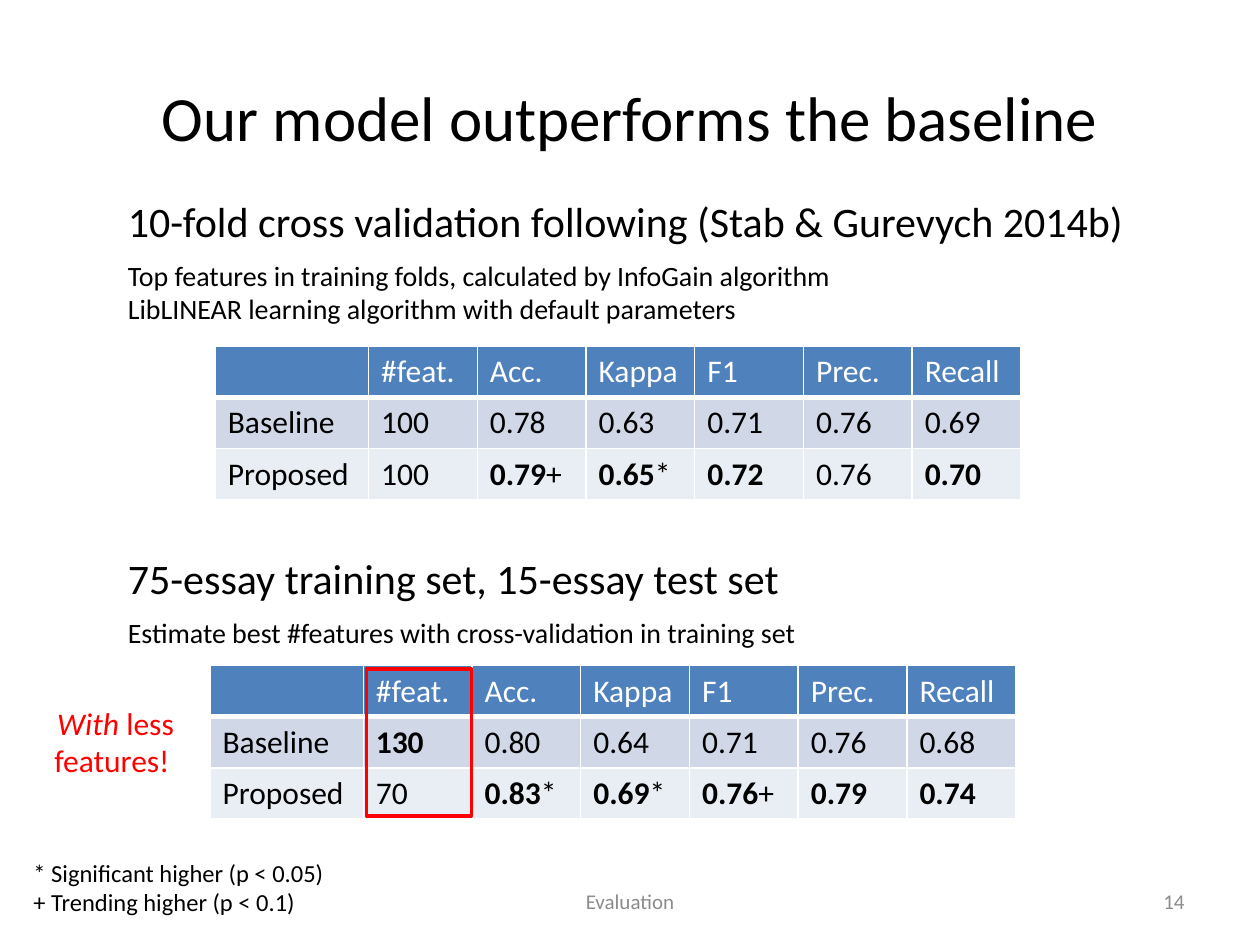
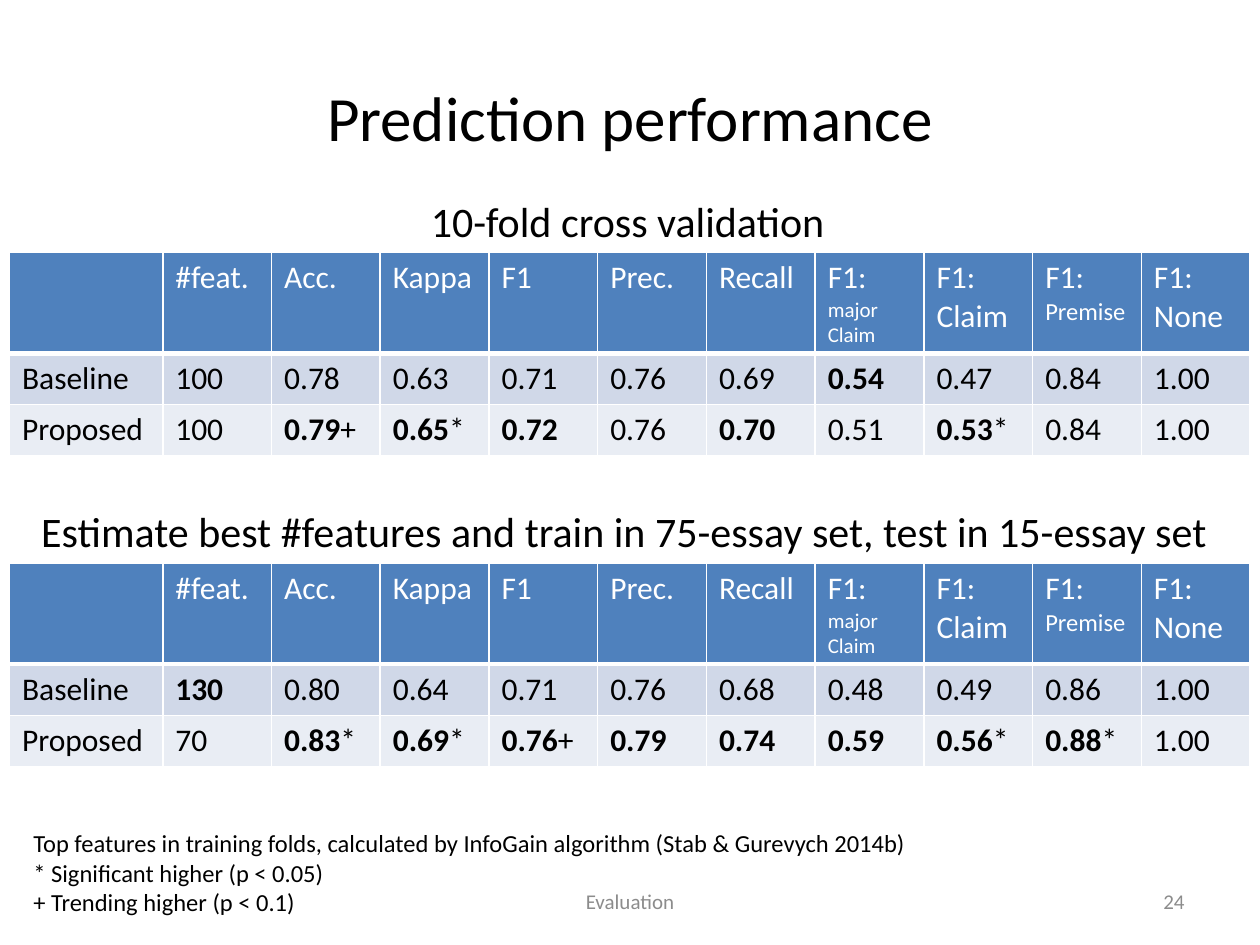
from lxml import etree
from pptx import Presentation
from pptx.dml.color import RGBColor
from pptx.enum.shapes import MSO_SHAPE
from pptx.enum.text import MSO_ANCHOR, PP_ALIGN
from pptx.oxml.ns import qn
from pptx.util import Emu, Inches, Pt

LEFT, CENTER, RIGHT = PP_ALIGN.LEFT, PP_ALIGN.CENTER, PP_ALIGN.RIGHT
TOP, MIDDLE = MSO_ANCHOR.TOP, MSO_ANCHOR.MIDDLE
RECT = MSO_SHAPE.RECTANGLE

FONT = "Calibri"
BLACK, WHITE, GREY, RED = "000000", "FFFFFF", "8C8C8C", "FF0000"
ROW_FILLS = ["4F81BD", "D0D8E8", "E9EDF4"]

UNIT = Inches(10) / 120
LABEL_W, VALUE_W, ROW_H, TALL_H = 14.6, 10.36, 4.87, 9.6

HEADS = ["", "#feat.", "Acc.", "Kappa", "F1", "Prec.", "Recall"]
CLASS_HEADS = ["F1:\vmajor\vClaim", "F1:\vClaim", "F1:\vPremise", "F1:\vNone"]
SMALL_SIZES = {"F1:\vmajor\vClaim": 12, "F1:\vPremise": 14}

FOLDS = [
    ["Baseline", "100", "0.78", "0.63", "0.71", "0.76", "0.69", "0.54", "0.47", "0.84", "1.00"],
    ["Proposed", "100", "0.79+", "0.65*", "0.72", "0.76", "0.70", "0.51", "0.53*", "0.84", "1.00"],
]
HELD_OUT = [
    ["Baseline", "130", "0.80", "0.64", "0.71", "0.76", "0.68", "0.48", "0.49", "0.86", "1.00"],
    ["Proposed", "70", "0.83*", "0.69*", "0.76+", "0.79", "0.74", "0.59", "0.56*", "0.88*", "1.00"],
]
INFOGAIN = "Top features in training folds, calculated by InfoGain algorithm"
LEGEND = "* Significant higher (p < 0.05)\n+ Trending higher (p < 0.1)"


def rgb(color):
    return RGBColor.from_string(color)


def grid(*lengths):
    return [Emu(round(n * UNIT)) for n in lengths]


def style(r, size, color, bold=False):
    r.font.name = FONT
    r.font.size = Pt(size)
    r.font.color.rgb = rgb(color)
    r.font.bold = bold


def style_text(tf, size, color, align=LEFT):
    for p in tf.paragraphs:
        p.alignment = align
        for r in p.runs:
            style(r, size, color)


def add_text(s, box, text, size, color=BLACK, align=LEFT, anchor=TOP, wrap=False):
    tf = s.shapes.add_textbox(*grid(*box)).text_frame
    tf.word_wrap = wrap
    tf.vertical_anchor = anchor
    tf.text = text
    style_text(tf, size, color, align)
    return tf


def add_slide(prs, title, number):
    s = prs.slides.add_slide(prs.slide_layouts[5])
    sp = s.shapes.title
    sp.left, sp.top, sp.width, sp.height = grid(6, 3.6, 108, 15)
    sp.text_frame.text = title
    sp.text_frame.vertical_anchor = MIDDLE
    style_text(sp.text_frame, 36, BLACK, CENTER)
    add_text(s, (41, 83.4, 38, 4.8), "Evaluation", 12, GREY, CENTER, MIDDLE, True)
    add_text(s, (86, 83.4, 28, 4.8), str(number), 12, GREY, RIGHT, MIDDLE, True)
    return s


def set_borders(cell, top, bottom):
    tc_pr = cell._tc.get_or_add_tcPr()
    for tag, width in (("lnL", 1), ("lnR", 1), ("lnT", top), ("lnB", bottom)):
        ln = etree.SubElement(tc_pr, qn(f"a:{tag}"), w=str(Pt(width)))
        fill = etree.SubElement(ln, qn("a:solidFill"))
        etree.SubElement(fill, qn("a:srgbClr"), val=WHITE)


def fill_head(p, text):
    p.text = text
    sizes = [18] + [SMALL_SIZES.get(text, 18)] * text.count("\v")
    for r, size in zip(p.runs, sizes):
        style(r, size, WHITE)
    for br, size in zip(p._p.findall(qn("a:br")), sizes):
        etree.SubElement(br, qn("a:rPr"), sz=str(size * 100))


def fill_value(p, text, bold):
    value = text.rstrip("*+")
    for part, heavy in ((value, bold), (text[len(value):], False)):
        if part:
            r = p.add_run()
            r.text = part
            style(r, 18, BLACK, heavy)


def is_best(scores, row, col):
    if col == 0:
        return False
    ours, other = (float(scores[i][col].rstrip("*+")) for i in (row, 1 - row))
    return ours > other


def add_scores(s, x, y, heads, scores, head_h):
    cols = len(heads)
    size = LABEL_W + (cols - 1) * VALUE_W, head_h + 2 * ROW_H
    table = s.shapes.add_table(3, cols, *grid(x, y, *size)).table
    table.horz_banding = False
    for c, col in enumerate(table.columns):
        col.width = grid(VALUE_W if c else LABEL_W)[0]
    for i, row in enumerate(table.rows):
        row.height = grid(ROW_H if i else head_h)[0]
        for c in range(cols):
            cell = table.cell(i, c)
            set_borders(cell, 3 if i == 1 else 1, 3 if i == 0 else 1)
            cell.fill.solid()
            cell.fill.fore_color.rgb = rgb(ROW_FILLS[i])
            p = cell.text_frame.paragraphs[0]
            if i == 0:
                fill_head(p, heads[c])
            else:
                fill_value(p, scores[i - 1][c], is_best(scores, i - 1, c))


def add_feature_frame(s, x, y):
    box = grid(x + LABEL_W + 0.3, y + 0.3, 10, 14)
    sp = s.shapes.add_shape(RECT, *box)
    sp.shadow.inherit = False
    sp.fill.background()
    sp.line.color.rgb = rgb(RED)
    sp.line.width = Pt(2)


def add_callout(s, box):
    tf = add_text(s, box, "With ", 18, RED, CENTER, wrap=True)
    tf.margin_left = tf.margin_right = tf.margin_top = tf.margin_bottom = 0
    p = tf.paragraphs[0]
    p.runs[0].font.italic = True
    r = p.add_run()
    r.text = "less features! "
    style(r, 18, RED)


def build_outperforms(prs):
    s = add_slide(prs, "Our model outperforms the baseline", 14)
    add_text(s, (11, 18, 98, 6),
             "10-fold cross validation following (Stab & Gurevych 2014b)", 24)
    add_text(s, (11, 24, 79, 7.7),
             INFOGAIN + "\nLibLINEAR learning algorithm with default parameters", 16, wrap=True)
    add_scores(s, 20.5, 33, HEADS, FOLDS, ROW_H)
    add_text(s, (11, 52, 65, 6), "75-essay training set, 15-essay test set", 24)
    add_text(s, (11, 58, 68, 4.4),
             "Estimate best #features with cross-validation in training set", 16, wrap=True)
    x, y = 20, 63.4
    add_scores(s, x, y, HEADS, HELD_OUT, ROW_H)
    add_feature_frame(s, x, y)
    add_callout(s, (4, 67, 14, 7.3))
    add_text(s, (2, 81.1, 30.4, 6.9), LEGEND, 14)


def build_performance(prs):
    s = add_slide(prs, "Prediction performance", 24)
    sections = [
        (18, 40.3, "10-fold cross validation", FOLDS),
        (47.6, 114.5,
         "Estimate best #features and train in 75-essay set, test in 15-essay set", HELD_OUT),
    ]
    for y, width, heading, scores in sections:
        add_text(s, ((120 - width) / 2, y, width, 6), heading, 24)
        add_scores(s, 0.9, y + 6.05, HEADS + CLASS_HEADS, scores, TALL_H)
    add_text(s, (2, 78.3, 85.5, 9.7), f"{INFOGAIN} (Stab & Gurevych 2014b)\n{LEGEND}", 14)


def main():
    prs = Presentation()
    prs.slide_width, prs.slide_height = grid(120, 90)
    build_outperforms(prs)
    build_performance(prs)
    prs.save("out.pptx")


if __name__ == "__main__":
    main()
